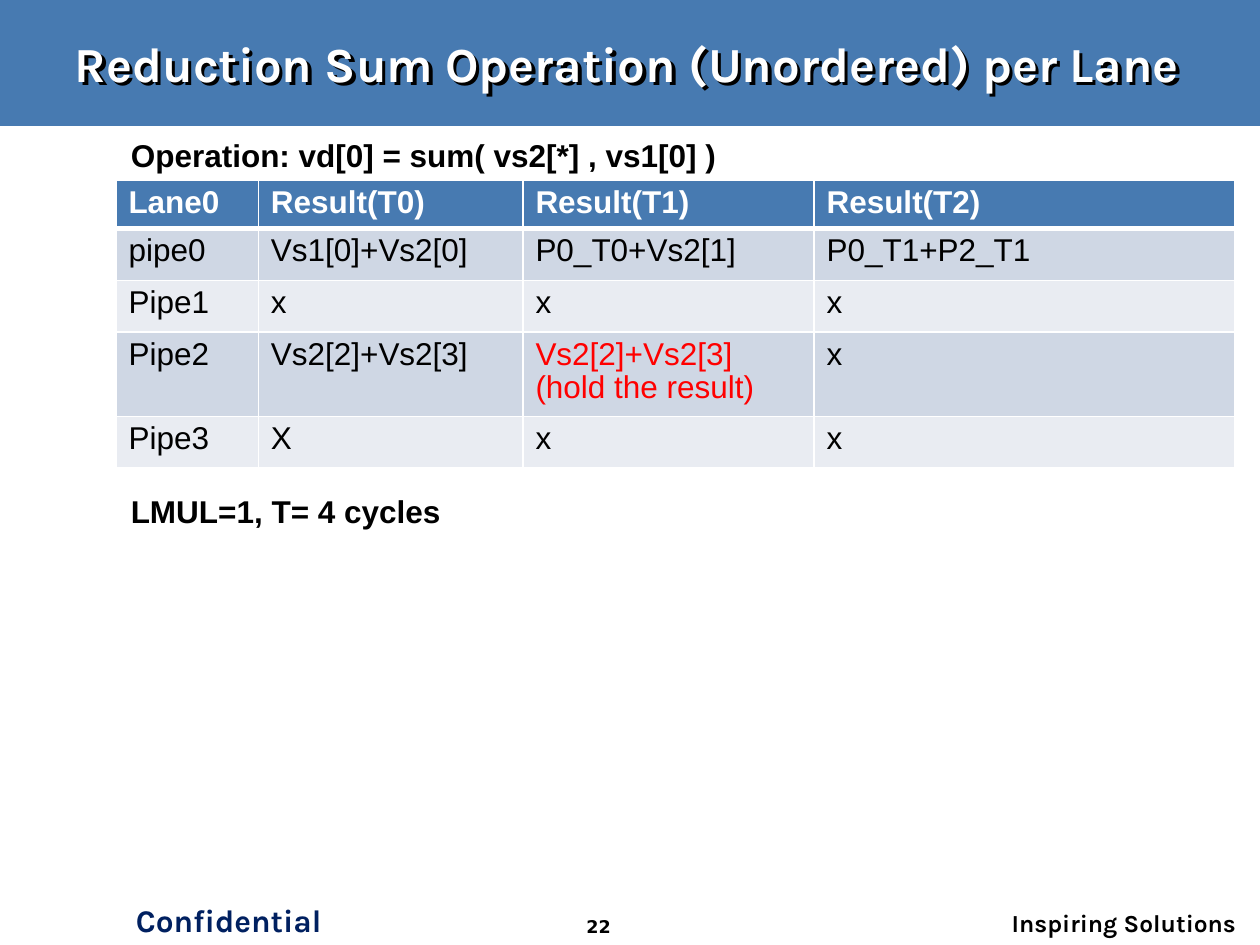
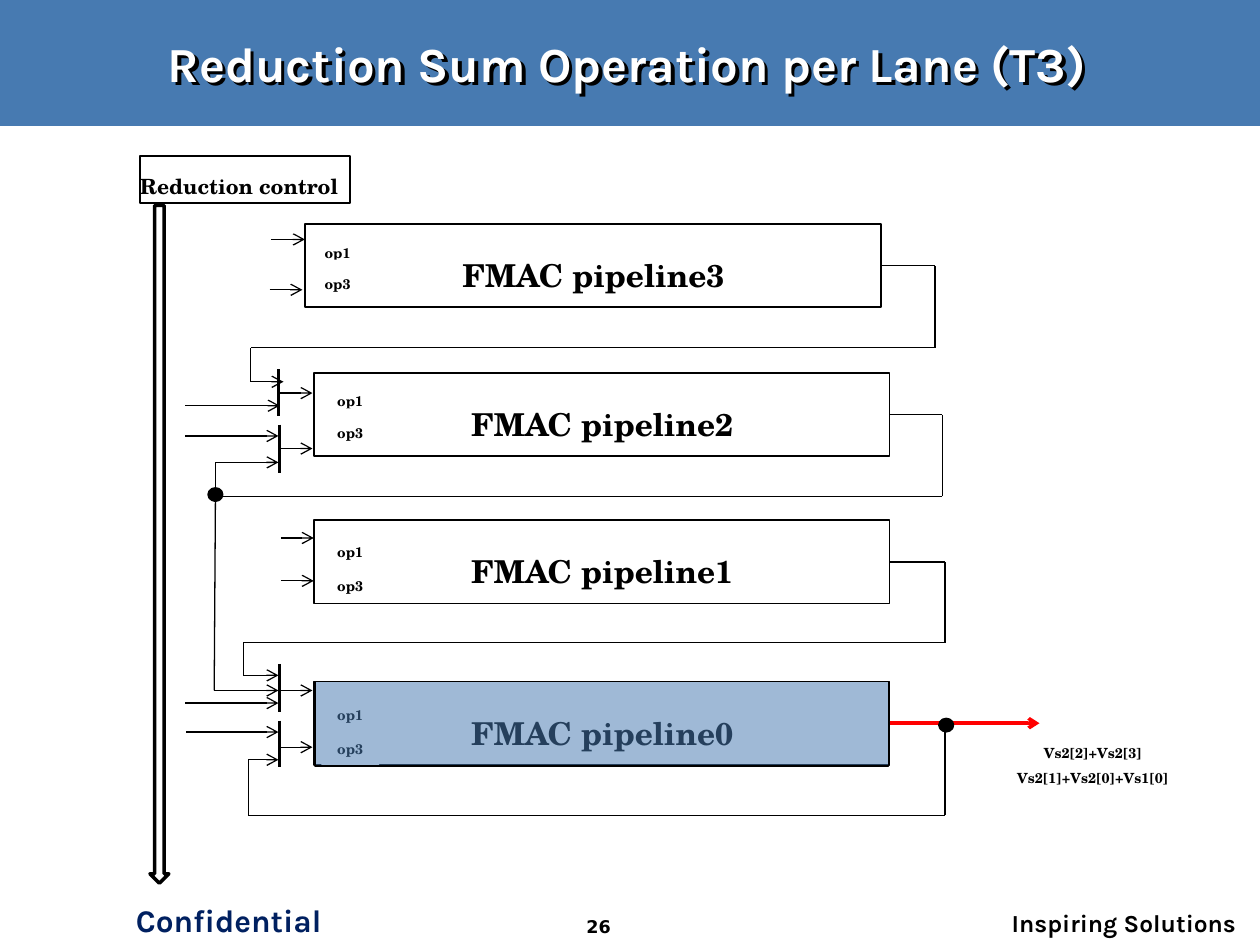
from lxml.etree import SubElement
from pptx import Presentation
from pptx.dml.color import RGBColor
from pptx.enum.shapes import MSO_CONNECTOR, MSO_SHAPE
from pptx.enum.text import MSO_ANCHOR, PP_ALIGN
from pptx.oxml.ns import qn
from pptx.util import Emu, Pt

EMU_PER_PX = 9144
BLUE, NAVY, RED, BLACK, WHITE = "477AB1", "002060", "FF0000", "000000", "FFFFFF"
ROW_TINTS = ("CFD7E4", "E9ECF2")
BRAND, BODY, NUMBER, DIAGRAM = "Karla", "Arial", "DejaVu Sans", "TeX Gyre Schola"


def px(length):
    return Emu(length * EMU_PER_PX)


def color(value):
    return RGBColor.from_string(value)


def style_paragraph(paragraph, size, face, ink=BLACK, bold=True, align=PP_ALIGN.LEFT):
    paragraph.alignment = align
    font = paragraph.font
    font.size = Pt(size)
    font.bold = bold
    font.color.rgb = color(ink)
    font.name = face


def add_text(slide, box, text, size, face, ink=BLACK, align=PP_ALIGN.LEFT):
    label = slide.shapes.add_textbox(*map(px, box))
    label.text_frame.word_wrap = True
    paragraph = label.text_frame.paragraphs[0]
    paragraph.text = text
    style_paragraph(paragraph, size, face, ink, align=align)
    return label


def add_block(slide, box, fill=WHITE, line=None, width=1, preset=MSO_SHAPE.RECTANGLE):
    block = slide.shapes.add_shape(preset, *map(px, box))
    block.shadow.inherit = False
    if fill:
        block.fill.solid()
        block.fill.fore_color.rgb = color(fill)
    else:
        block.fill.background()
    if line:
        block.line.color.rgb = color(line)
        block.line.width = Pt(width)
    else:
        block.line.fill.background()
    return block


def label_block(block, lines, size, align=PP_ALIGN.CENTER, indent=0):
    frame = block.text_frame
    frame.word_wrap = True
    frame.vertical_anchor = MSO_ANCHOR.MIDDLE
    if align == PP_ALIGN.LEFT:
        frame.margin_left = frame.margin_right = 0
    frame.text = "\n".join(lines)
    for paragraph in frame.paragraphs:
        paragraph.line_spacing = 1.5
        if indent:
            paragraph._p.get_or_add_pPr().set("indent", str(px(indent)))
        style_paragraph(paragraph, size, DIAGRAM, align=align)


def add_wire(slide, points, source=None, arrow=False, ink=BLACK, width=0.75):
    for index, (start, end) in enumerate(zip(points, points[1:])):
        segment = slide.shapes.add_connector(
            MSO_CONNECTOR.STRAIGHT, *map(px, start + end))
        if source and index == 0:
            segment.begin_connect(source, 3)
        segment.line.color.rgb = color(ink)
        segment.line.width = Pt(width)
        if arrow and index == len(points) - 2:
            SubElement(segment.line._get_or_add_ln(), qn("a:tailEnd"), type="arrow")
        SubElement(segment._element.spPr, qn("a:effectLst"))


def add_junction(slide, left, top):
    add_block(slide, (left, top, 10, 9), BLACK, BLACK, 2, MSO_SHAPE.OVAL)


def add_pipeline(slide, number, left, top, op_left, op_tops):
    pipeline = add_block(slide, (left, top, 457, 66), line=BLACK)
    label_block(pipeline, [f"FMAC pipeline{number}"], 18, PP_ALIGN.LEFT, 125)
    for operand, op_top in zip(("op1", "op3"), op_tops):
        label_block(add_block(slide, (op_left, op_top, 46, 32)), [operand], 8)
    return pipeline


def add_base_slide(deck, title, number):
    slide = deck.slides.add_slide(deck.slide_layouts[6])
    add_block(slide, (0, 0, 1000, 100), BLUE)
    add_text(slide, (94, 710, 175, 42), "Confidential", 18, BRAND, NAVY, PP_ALIGN.CENTER)
    add_text(slide, (754, 716, 237, 27), "Inspiring Solutions", 14, BRAND,
             align=PP_ALIGN.RIGHT)
    add_text(slide, (429, 722, 92, 28), str(number), 10, NUMBER, align=PP_ALIGN.CENTER)
    heading = add_text(slide, (22, 17, 951, 66), title, 28, BRAND, WHITE, PP_ALIGN.CENTER)
    heading.text_frame.vertical_anchor = MSO_ANCHOR.MIDDLE
    effects = SubElement(heading._element.spPr, qn("a:effectLst"))
    shadow = SubElement(effects, qn("a:outerShdw"), dist="35000", dir="2700000")
    SubElement(shadow, qn("a:srgbClr"), val=BLACK)
    return slide


def set_borders(cell, bottom):
    properties = cell._tc.get_or_add_tcPr()
    for side, width in (("L", 1), ("R", 1), ("T", 1), ("B", bottom)):
        border = SubElement(properties, qn(f"a:ln{side}"), w=str(Pt(width)))
        SubElement(SubElement(border, qn("a:solidFill")), qn("a:srgbClr"), val=WHITE)


def add_schedule(slide, box, widths, heights, rows):
    schedule = slide.shapes.add_table(len(rows), len(widths), *map(px, box)).table
    for column, width in zip(schedule.columns, widths):
        column.width = px(width)
    for index, (row, height, texts) in enumerate(zip(schedule.rows, heights, rows)):
        row.height = px(height)
        header = index == 0
        for cell, text in zip(row.cells, texts):
            set_borders(cell, 3 if header else 1)
            cell.fill.solid()
            cell.fill.fore_color.rgb = color(BLUE if header else ROW_TINTS[(index - 1) % 2])
            cell.text = text
            paragraph = cell.text_frame.paragraphs[0]
            paragraph.line_spacing = 0.95
            ink = WHITE if header else RED if "hold" in text else BLACK
            style_paragraph(paragraph, 18, BODY, ink, header)


def build_schedule_slide(deck):
    slide = add_base_slide(deck, "Reduction Sum Operation (Unordered) per Lane", 22)
    add_schedule(slide, (92, 143, 888, 232), (113, 210, 231, 334), (30, 41, 41, 41, 41), [
        ("Lane0", "Result(T0)", "Result(T1)", "Result(T2)"),
        ("pipe0", "Vs1[0]+Vs2[0]", "P0_T0+Vs2[1]", "P0_T1+P2_T1"),
        ("Pipe1", "x", "x", "x"),
        ("Pipe2", "Vs2[2]+Vs2[3]", "Vs2[2]+Vs2[3] (hold the result)", "x"),
        ("Pipe3", "X", "x", "x"),
    ])
    add_text(slide, (94, 386, 886, 40), "LMUL=1, T= 4 cycles", 18, BODY)
    add_text(slide, (94, 103, 492, 40), "Operation: vd[0] = sum( vs2[*] , vs1[0] )", 18, BODY)


def build_pipeline_slide(deck):
    slide = add_base_slide(deck, "Reduction Sum Operation per Lane (T3)", 26)
    label_block(add_block(slide, (741, 588, 253, 32)),
                ["Vs2[2]+Vs2[3]", "Vs2[1]+Vs2[0]+Vs1[0]"], 8)

    pipeline3 = add_pipeline(slide, 3, 242, 178, 245, (181, 206))
    pipeline2 = add_pipeline(slide, 2, 249, 296, 255, (299, 324))
    pipeline1 = add_pipeline(slide, 1, 249, 413, 255, (419, 446))
    pipeline0 = add_pipeline(slide, 0, 249, 541, 255, (548, 575))

    add_wire(slide, [(699, 211), (742, 211), (742, 276), (199, 276), (199, 303), (225, 303)],
             pipeline3, arrow=True)
    add_wire(slide, [(706, 329), (748, 329), (748, 394), (171, 394), (171, 367), (221, 367)],
             pipeline2, arrow=True)
    add_wire(slide, [(171, 394), (170, 548), (221, 548)], arrow=True)
    add_wire(slide, [(706, 446), (750, 446), (750, 510), (193, 510), (193, 536), (221, 536)],
             pipeline1, arrow=True)
    add_wire(slide, [(750, 574), (750, 647), (197, 647), (197, 603), (221, 603)], arrow=True)

    for x, top, bottom in ((221, 293, 330), (222, 337, 375), (222, 527, 565), (222, 572, 609)):
        add_wire(slide, [(x, top), (x, bottom)], width=1.75)
    operand_inputs = (
        (215, 242, 190), (214, 240, 230),
        (147, 222, 322), (221, 248, 312), (147, 221, 346), (222, 248, 356),
        (223, 249, 427), (223, 249, 461),
        (147, 221, 558), (222, 248, 548), (148, 221, 581), (222, 248, 593),
    )
    for start, end, y in operand_inputs:
        add_wire(slide, [(start, y), (end, y)], arrow=True)

    add_junction(slide, 166, 388)
    add_wire(slide, [(706, 574), (750, 574), (825, 574)], pipeline0, True, RED, 2)
    add_junction(slide, 746, 571)

    control = add_block(slide, (111, 124, 167, 37), line=BLACK)
    label_block(control, ["Reduction control"], 12, PP_ALIGN.LEFT)
    add_block(slide, (119, 163, 15, 538), None, BLACK, 2, MSO_SHAPE.DOWN_ARROW)

    highlight = add_block(slide, (250, 541, 455, 67), BLUE, BLACK, 0.75)
    tint = highlight._element.spPr.find(qn("a:solidFill")).find(qn("a:srgbClr"))
    SubElement(tint, qn("a:alpha"), val="52000")


def main():
    deck = Presentation()
    deck.slide_width, deck.slide_height = px(1000), px(750)
    build_schedule_slide(deck)
    build_pipeline_slide(deck)
    deck.save("out.pptx")


if __name__ == "__main__":
    main()
